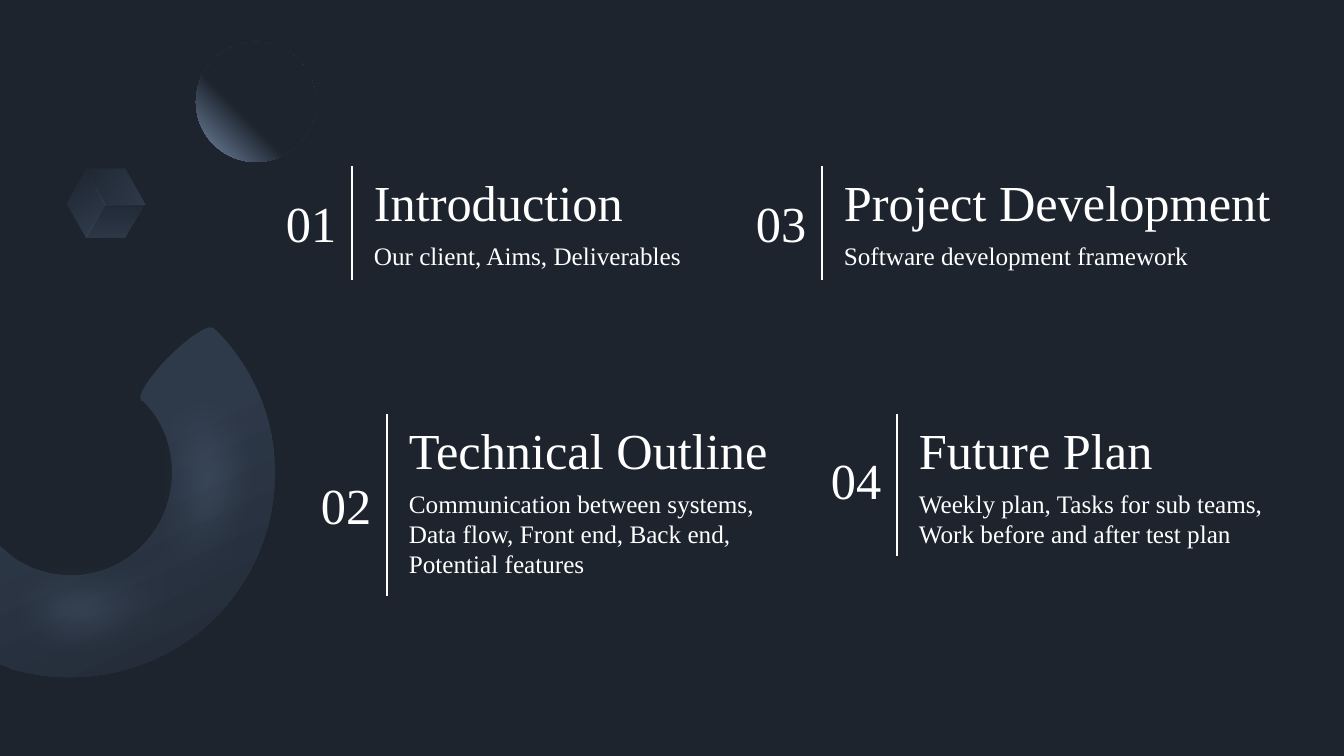
import math

import pptx
import pptx.dml.color
import pptx.enum.shapes
import pptx.enum.text
import pptx.oxml
import pptx.oxml.ns
import pptx.util

SCALE = 12192000 / 1344
WIDE, HIGH = 1344, 756
NIGHT, SLATE, STEEL, SKY, WHITE = "1D242E", "2E3949", "7A8EAB", "8FAADC", "FFFFFF"
DOWN = "<a:lin ang='{}' scaled='0'/>"
CORNER = "<a:path path='circle'><a:fillToRect l='100000' b='100000'/></a:path>"

# Each step has one point, or the three points of a curve.
RING = [(215, 329), (295, 408, 295, 537, 215, 618), (160, 672, 82, 689, 12, 669),
        (0, 664), (0, 546), (14, 558), (54, 585, 108, 581, 143, 545),
        (182, 505, 182, 440, 143, 401)]
GLOW = [(190, 301), (283, 395, 294, 535, 214, 615), (164, 665, 91, 679, 20, 660),
        (0, 654), (0, 539), (1, 540), (45, 566, 98, 564, 130, 530),
        (169, 491, 164, 420, 118, 374)]
HUB = (105, 205)
RIM = [(125, 169), (86, 169), (67, 204), (86, 238), (125, 238), (145, 204)]
FACES = [([RIM[0], RIM[1], HUB, RIM[5]], 0),
         ([RIM[3], RIM[2], RIM[1], HUB], 30),
         ([RIM[5], RIM[4], RIM[3], HUB], 60)]

# Number, rule x, rule top, rule length, number top, text width and height, title, lines
TOPICS = [
    ("01", 352, 166, 114, 187, 434, 114, "Introduction",
     ["Our client, Aims, Deliverables"]),
    ("04", 897, 414, 142, 444, 434, 141, "Future Plan",
     ["Weekly plan, Tasks for sub teams,", "Work before and after test plan"]),
    ("03", 822, 166, 114, 187, 453, 110, "Project Development",
     ["Software development framework"]),
    ("02", 387, 414, 182, 469, 434, 171, "Technical Outline",
     ["Communication between systems,", "Data flow, Front end, Back end,",
      "Potential features"]),
]


def px(size):
    return pptx.util.Emu(round(size * SCALE))


def tint(code):
    return pptx.dml.color.RGBColor.from_string(code)


def node(text):
    """Parse one drawing element written with the a: prefix."""
    name = text[1:].replace("/", " ").replace(">", " ").split()[0]
    space = pptx.oxml.ns.nsdecls("a")
    return pptx.oxml.parse_xml(text.replace(f"<{name}", f"<{name} {space}", 1))


def spin(dot, angle):
    x, y = dot
    cos, sin = math.cos(math.radians(angle)), math.sin(math.radians(angle))
    return x * cos - y * sin, x * sin + y * cos


def level(steps, turn):
    """Turn the outline back, so that the shape's rotation puts it in place."""
    spun = [[spin(step[i:i + 2], -turn) for i in range(0, len(step), 2)]
            for step in steps]
    mid = [(min(row) + max(row)) / 2 for row in zip(*(step[-1] for step in spun))]
    home = spin(mid, turn)
    return [[tuple(px(d - m + h) for d, m, h in zip(dot, mid, home)) for dot in step]
            for step in spun]


class Deck:
    def __init__(self, font):
        self.font = font
        self.show = pptx.Presentation()
        self.show.slide_width, self.show.slide_height = px(WIDE), px(HIGH)
        self.slide = self.show.slides.add_slide(self.show.slide_layouts[6])
        self.slide.background.fill.solid()
        self.slide.background.fill.fore_color.rgb = tint(NIGHT)

    def paint(self, shape, stops, shade=None):
        """Fill with one (place, colour, opacity) stop, or a gradient of several."""
        shape.shadow.inherit = False
        shape.line.fill.background()
        shape.fill.background()
        inks = [f"<a:srgbClr val='{code}'><a:alpha val='{clear * 1000}'/></a:srgbClr>"
                for _, code, clear in stops]
        if shade is None:
            fill = f"<a:solidFill>{inks[0]}</a:solidFill>"
        else:
            marks = "".join(f"<a:gs pos='{stop[0] * 1000}'>{ink}</a:gs>"
                            for stop, ink in zip(stops, inks))
            fill = (f"<a:gradFill rotWithShape='1'><a:gsLst>{marks}</a:gsLst>"
                    f"{shade}</a:gradFill>")
        props = shape.element.spPr
        props.replace(props.find(pptx.oxml.ns.qn("a:noFill")), node(fill))

    def form(self, steps, turn, stops, shade=None, soft=0):
        """Draw a closed outline, its edge blurred over soft points."""
        steps = level(steps, turn)
        pen = self.slide.shapes.build_freeform(*steps[0][0], scale=1.0)
        pen.add_line_segments([step[-1] for step in steps[1:]], close=True)
        shape = pen.convert_to_shape()
        legs = list(shape.element.spPr.iter(pptx.oxml.ns.qn("a:lnTo")))
        for leg, step in zip(legs, steps[1:]):
            if len(step) == 3:
                dots = "".join(f"<a:pt x='{x - shape.left}' y='{y - shape.top}'/>"
                               for x, y in step)
                leg.getparent().replace(
                    leg, node(f"<a:cubicBezTo>{dots}</a:cubicBezTo>"))
        shape.rotation = turn
        self.paint(shape, stops, shade)
        if soft:
            blur = node(f"<a:softEdge rad='{pptx.util.Pt(soft)}'/>")
            shape.element.spPr.find(pptx.oxml.ns.qn("a:effectLst")).append(blur)

    def oval(self, left, top, wide, high, stops, shade=None, turn=0):
        kind = pptx.enum.shapes.MSO_SHAPE.OVAL
        shape = self.slide.shapes.add_shape(kind, px(left), px(top), px(wide), px(high))
        shape.rotation = turn
        self.paint(shape, stops, shade)

    def text(self, left, top, wide, high, title, lines=()):
        box = self.slide.shapes.add_textbox(px(left), px(top), px(wide), px(high))
        frame = box.text_frame
        frame.word_wrap = True
        frame.auto_size = pptx.enum.text.MSO_AUTO_SIZE.SHAPE_TO_FIT_TEXT
        frame.text = "\n".join([title, *lines])
        for spot, para in enumerate(frame.paragraphs):
            para.font.name = self.font
            para.font.size = pptx.util.Pt(18 if spot else 36)
            para.font.color.rgb = tint(WHITE)
        if lines:
            frame.paragraphs[0].space_after = pptx.util.Pt(6)

    def rule(self, left, top, high):
        kind = pptx.enum.shapes.MSO_CONNECTOR.STRAIGHT
        line = self.slide.shapes.add_connector(
            kind, px(left), px(top), px(left), px(top + high))
        line.line.color.rgb = tint(WHITE)
        line.line.width = pptx.util.Pt(1.5)
        line.element.spPr.append(node("<a:effectLst/>"))

    def topic(self, num, left, top, high, mark, wide, tall, title, lines):
        self.text(left + 12, top, wide, tall, title, lines)
        self.text(left - 76, mark, 76, 72, num)
        self.rule(left, top, high)


def main():
    deck = Deck("Times New Roman")
    deck.form(RING, 315, [(31, SLATE, 100), (97, NIGHT, 100)], DOWN.format(110 * 60000))
    deck.form(GLOW, 315, [(0, STEEL, 40)], soft=30)
    deck.oval(166, 313, 23, 103, [(0, SLATE, 100)], turn=45)
    deck.oval(196, 42, 120, 120, [(60, NIGHT, 100), (100, STEEL, 100)], CORNER)
    for face, angle in FACES:
        deck.form(face, 30, [(20, SLATE, 20), (100, SKY, 20)],
                  DOWN.format(angle * 60000))
    for topic in TOPICS:
        deck.topic(*topic)
    deck.show.save("out.pptx")


if __name__ == "__main__":
    main()
